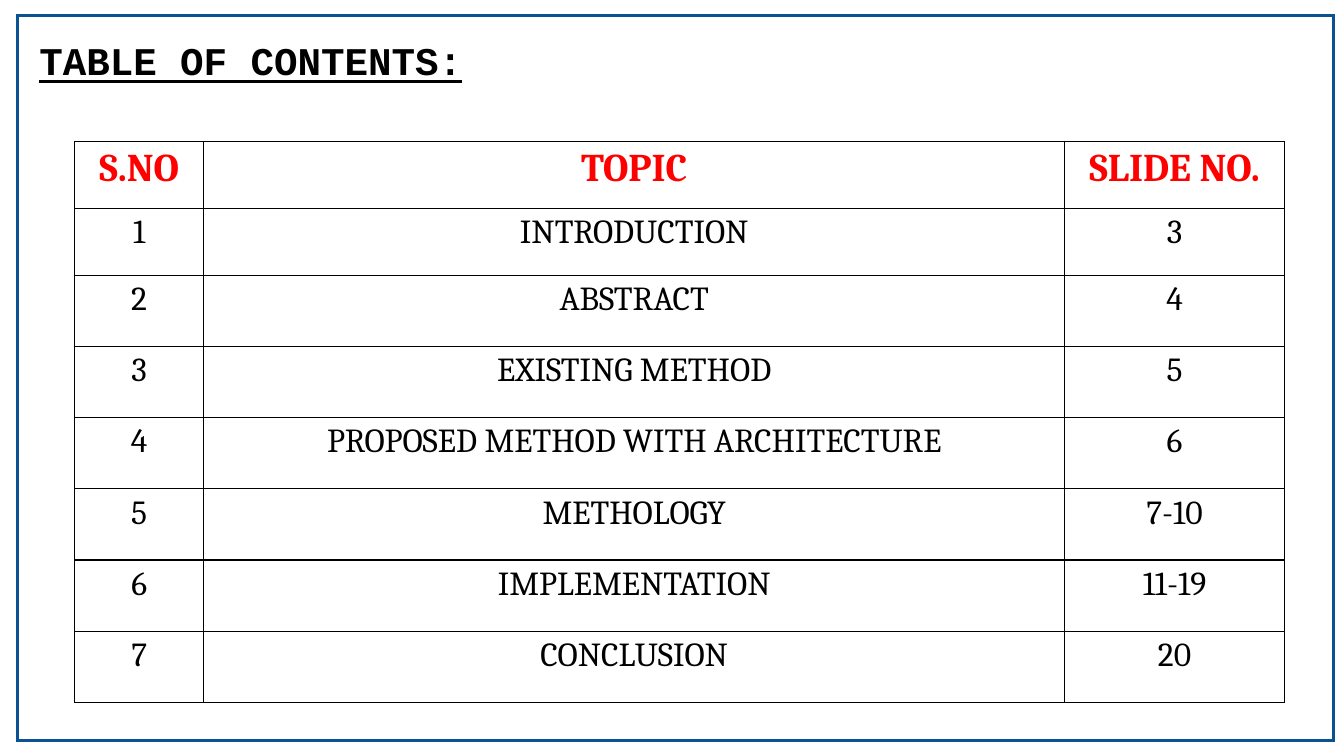
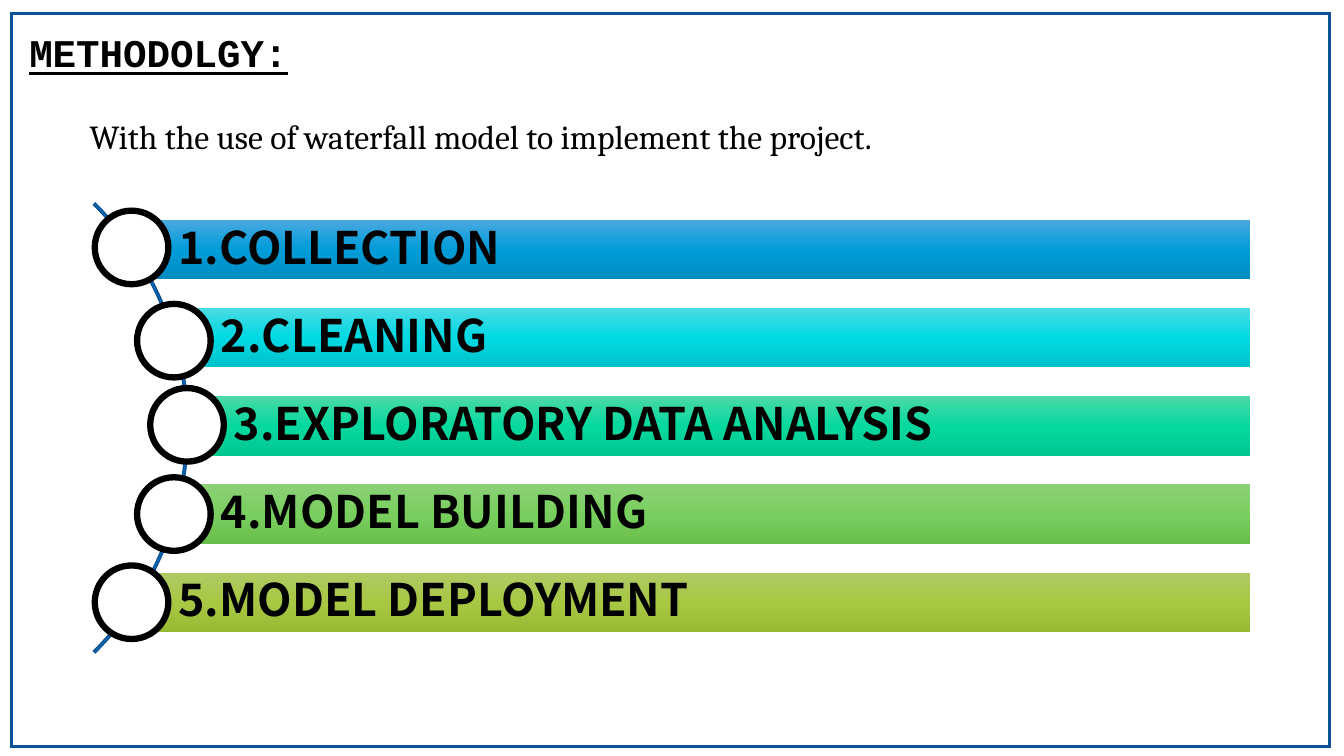
from copy import deepcopy

from lxml.etree import SubElement
from pptx import Presentation
from pptx.dml.color import RGBColor
from pptx.enum.shapes import MSO_SHAPE
from pptx.enum.text import MSO_ANCHOR, MSO_AUTO_SIZE, PP_ALIGN
from pptx.oxml.ns import qn
from pptx.util import Inches, Pt

HUES = {"ink": "000000", "paper": "FFFFFF", "head": "FF0000",
        "frame": "0B5292", "arc": "0F6FC6"}
FONTS = {"title": "Courier New", "body": "Cambria", "step": "Noto Sans CJK JP"}

HEADS = [("S.NO", "TOPIC", "SLIDE NO.")]
TOPICS = [
    ("1", "INTRODUCTION", "3"),
    ("2", "ABSTRACT", "4"),
    ("3", "EXISTING METHOD", "5"),
    ("4", "PROPOSED METHOD WITH ARCHITECTURE", "6"),
    ("5", "METHOLOGY", "7-10"),
    ("6", "IMPLEMENTATION", "11-19"),
    ("7", "CONCLUSION", "20"),
]
COLS = (1.28, 8.54, 2.18)

# label, indent of the step, rise of its circle above the bar, bar gradient
STEPS = [
    ("1.COLLECTION", 0, 0.09, ("4BA8E0", "009DD9", "008CC1")),
    ("2.CLEANING", 0.42, 0.04, ("4BDAE2", "01D9E3", "00C2CB")),
    ("3.EXPLORATORY DATA ANALYSIS", 0.55, 0.08, ("4CD9A7", "06D99F", "00C690")),
    ("4.MODEL BUILDING", 0.42, 0.07, ("8BD077", "79CF5D", "69BE4C")),
    ("5.MODEL DEPLOYMENT", 0, 0.07, ("AFC964", "A8C843", "99B935")),
]


def rgb(hue):
    """Turn a hex string into a colour."""
    return RGBColor.from_string(hue)


def span(*box):
    """Turn a box in inches into lengths."""
    return [Inches(n) for n in box]


def write(para, text, face, size, hue="ink", bold=False, under=False):
    """Add one styled run to a paragraph."""
    run = para.add_run()
    run.text = text
    font = run.font
    font.name, font.size = FONTS[face], Pt(size)
    font.bold, font.underline = bold, under
    font.color.rgb = rgb(HUES[hue])


def shape(slide, kind, box, line=None, width=0, fill=None):
    """Add a preset shape without shadow, with optional outline and fill."""
    item = slide.shapes.add_shape(kind, *span(*box))
    item.shadow.inherit = False
    if line:
        item.line.color.rgb = rgb(HUES[line])
        item.line.width = Pt(width)
        SubElement(item.element.spPr.find(qn("a:ln")), qn("a:miter"), lim="800000")
    else:
        item.line.fill.background()
    if fill:
        item.fill.solid()
        item.fill.fore_color.rgb = rgb(HUES[fill])
    else:
        item.fill.background()
    return item


def page(deck, title, box, pad):
    """Add a slide with a border at box and a title padded inside it."""
    slide = deck.slides.add_slide(deck.slide_layouts[5])
    shape(slide, MSO_SHAPE.RECTANGLE, box, "frame", 2.25)
    x, y, w, _ = box
    dx, dy = pad
    head = slide.shapes.title
    head.left, head.top, head.width, head.height = span(
        x + dx, y + dy, w - 2 * dx, 0.57)
    frame = head.text_frame
    frame.auto_size = MSO_AUTO_SIZE.NONE
    frame.vertical_anchor = MSO_ANCHOR.TOP
    para = frame.paragraphs[0]
    para.alignment = PP_ALIGN.LEFT
    write(para, title, "title", 28, bold=True, under=True)
    return slide


def edge(cell):
    """Draw a thin line on all four sides of a cell."""
    props = cell._tc.get_or_add_tcPr()
    for side in ("lnL", "lnR", "lnT", "lnB"):
        line = SubElement(props, qn(f"a:{side}"), w=str(Pt(1)))
        fill = SubElement(line, qn("a:solidFill"))
        SubElement(fill, qn("a:srgbClr"), val=HUES["ink"])


def grid(slide, box, rows, first, style):
    """Place a table in box; rows after the first share the height left."""
    table = slide.shapes.add_table(len(rows), len(COLS), *span(*box)).table
    table.first_row = table.horz_banding = False
    for col, width in zip(table.columns, COLS):
        col.width = Inches(width)
    for r, row in enumerate(rows):
        tall = (box[3] - first) / (len(rows) - 1) if r else first
        table.rows[r].height = Inches(tall)
        for c, text in enumerate(row):
            cell = table.cell(r, c)
            edge(cell)
            cell.fill.background()
            para = cell.text_frame.paragraphs[0]
            para.alignment = PP_ALIGN.CENTER
            write(para, text, *style)


def index(slide, box):
    """Place the heading table and the topic table under it in box."""
    x, y, w, h = box
    top = 0.67
    grid(slide, (x, y, w, top), HEADS, top, ("body", 28, "head", True))
    grid(slide, (x, y + top, w, h - top), TOPICS, 0.66, ("body", 24))


def note(slide, box, text):
    """Place a line of body text in box."""
    frame = slide.shapes.add_textbox(*span(*box)).text_frame
    frame.word_wrap = True
    write(frame.paragraphs[0], text, "body", 24)


def arc(slide, box):
    """Draw the thin quarter arc that bulges right beside box."""
    x, y, _, _ = box
    size = 6.31
    curve = shape(slide, MSO_SHAPE.BLOCK_ARC, (x - 5.38, y - 0.93, size, size),
                  "frame", 1, "arc")
    for i, turn in enumerate((189, 27, 0.004)):
        curve.adjustments[i] = turn


def blend(bar, hues):
    """Fill a bar with a three-stop gradient from top to bottom."""
    bar.fill.gradient()
    bar.fill.gradient_angle = 270
    stops = bar.element.spPr.find(".//" + qn("a:gsLst"))
    stops.insert(1, deepcopy(stops[0]))
    for stop, hue, place in zip(bar.fill.gradient_stops, hues, (0, 0.5, 1)):
        stop.color.rgb = rgb(hue)
        stop.position = place


def step(slide, box, label, rise, hues):
    """Place one labelled bar in box, led by a circle."""
    x, y, w, h = box
    size = 0.73
    inset = 0.36
    bar = shape(slide, MSO_SHAPE.RECTANGLE, (x + inset, y, w - inset, h))
    blend(bar, hues)
    frame = bar.text_frame
    frame.word_wrap = True
    frame.vertical_anchor = MSO_ANCHOR.MIDDLE
    frame.margin_left = Inches(0.47)
    para = frame.paragraphs[0]
    para.alignment = PP_ALIGN.LEFT
    para.line_spacing = 0.9
    write(para, label, "step", 32, bold=True)
    shape(slide, MSO_SHAPE.OVAL, (x, y - rise, size, size), "ink", 4.5, "paper")


def flow(slide, box):
    """Place the arc and the evenly spaced steps in box."""
    x, y, w, h = box
    tall = 0.59
    arc(slide, box)
    pitch = (h - 0.32 - tall) / (len(STEPS) - 1)
    for i, (label, shift, rise, hues) in enumerate(STEPS):
        place = (x + shift, y + 0.16 + pitch * i, w - shift, tall)
        step(slide, place, label, rise, hues)


def main():
    """Build the two slides and save the deck."""
    deck = Presentation()
    deck.slide_width, deck.slide_height = span(13.33, 7.5)
    topics = page(deck, "TABLE OF CONTENTS:", (0.17, 0.15, 13.06, 7.2), (0.12, 0.16))
    index(topics, (0.74, 1.4, 12, 5.57))
    method = page(deck, "METHODOLGY:", (0.11, 0.13, 13.08, 7.28), (0.08, 0.1))
    note(method, (0.79, 1.1, 11.5, 0.56),
         "With the use of waterfall model to implement the project.")
    flow(method, (0.94, 2.02, 11.46, 4.41))
    deck.save("out.pptx")


main()
